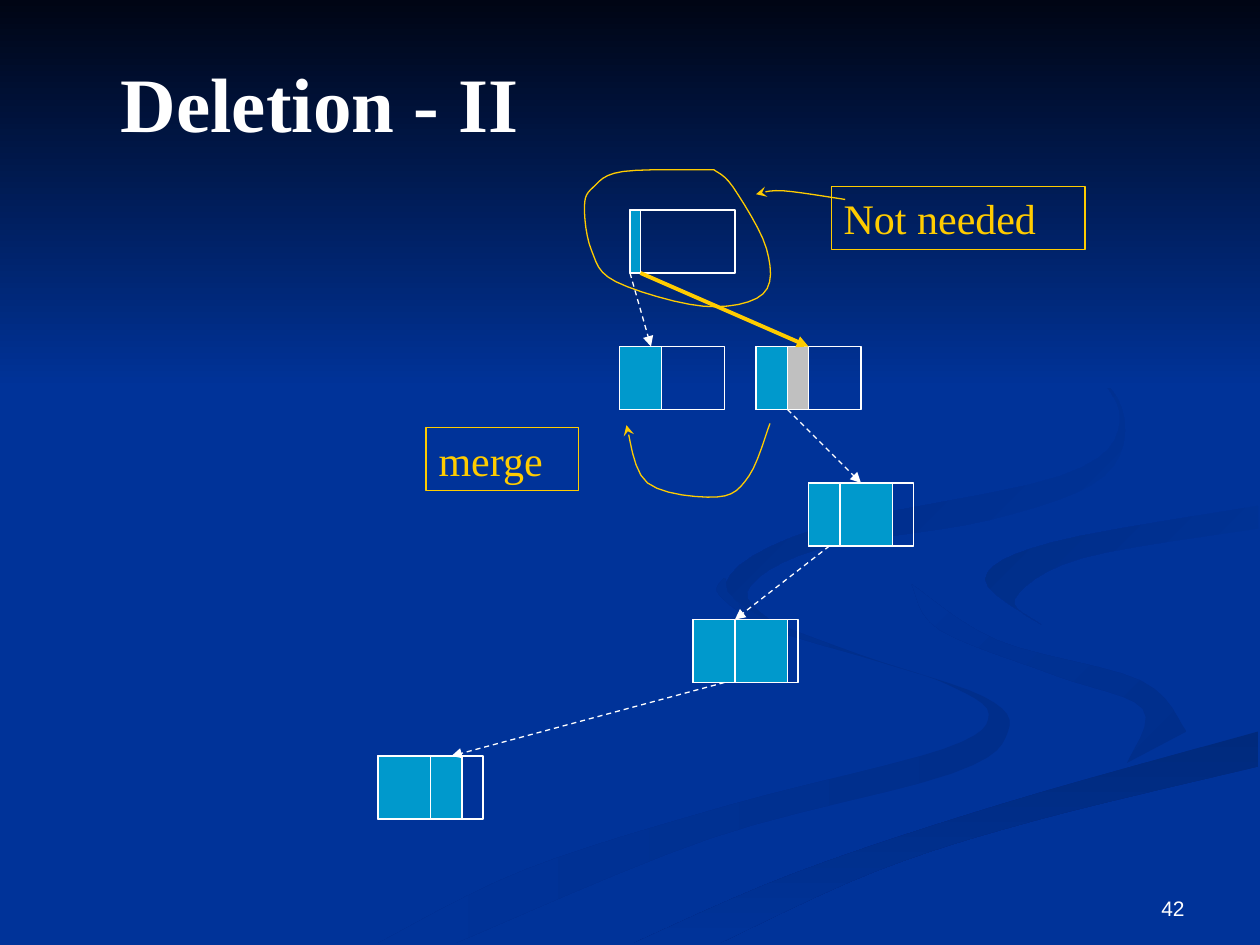
from dataclasses import dataclass
from typing import Optional

from lxml.etree import SubElement
from pptx import Presentation
from pptx.dml.color import RGBColor
from pptx.enum.dml import MSO_LINE_DASH_STYLE as Dash
from pptx.enum.shapes import MSO_CONNECTOR as Connector, MSO_SHAPE as Preset
from pptx.enum.text import MSO_ANCHOR as Anchor, PP_ALIGN as Align
from pptx.oxml.ns import qn
from pptx.util import Pt

COLORS = {
    "blue": "003399", "night": "000514", "white": "FFFFFF", "gold": "FFCC00",
    "teal": "0099CC", "gray": "C0C0C0", "shade1": "002E8B", "shade2": "002A7D",
    "shade3": "002D86", "shade4": "002B82",
}
NODE_WIDTH, NODE_HEIGHT, FIRST_TOP, LEVEL_STEP = 60, 36, 120, 78
CURVE_STEPS = 6
Point = tuple[float, float]


@dataclass
class Ribbon:
    start_color: str
    end_color: str
    angle: int  # counter-clockwise degrees
    edges: list[list[Point]]  # smooth edges that meet in sharp corners


@dataclass
class Node:
    left: float
    level: int
    cells: list[tuple[float, str]]  # width and colour, from the left edge


@dataclass
class Pointer:
    start: Point
    end: Point
    color: str = "white"
    weight: float = 0.75
    dashed: bool = True


@dataclass
class Curve:
    points: list[Point]
    closed: bool = False


@dataclass
class Label:
    text: str
    box: tuple[float, float, float, float]
    size: float = 24
    color: str = "gold"
    font: str = "Times New Roman"
    bold: bool = False
    border: Optional[str] = "gold"
    align: Align = Align.LEFT
    anchor: Anchor = Anchor.TOP


RIBBONS = [
    Ribbon("shade1", "blue", 180, [
        [(414, 330), (411, 340), (440, 359), (502, 378), (541, 391), (565, 408),
         (539, 428), (417, 460), (300, 497), (216, 539)],
        [(260, 539), (406, 479), (544, 442), (576, 418), (562, 398), (491, 374),
         (428, 349), (414, 330)]]),
    Ribbon("shade1", "blue", 135, [
        [(521, 334), (537, 360), (603, 386), (653, 405), (644, 436)],
        [(678, 418), (652, 389), (570, 366), (521, 334)]]),
    Ribbon("shade2", "blue", 270, [
        [(411, 539), (500, 498), (591, 469), (719, 438)],
        [(719, 418), (574, 459), (454, 499), (362, 539)]]),
    Ribbon("blue", "shade3", 135, [
        [(595, 357), (580, 342), (618, 319), (719, 302)],
        [(719, 289), (601, 310), (563, 331), (595, 357)]]),
    Ribbon("blue", "shade4", 135, [
        [(549, 168), (616, 205), (640, 241), (606, 272), (467, 302), (415, 333), (448, 360)],
        [(448, 360), (427, 338), (467, 314), (566, 297), (631, 272), (641, 233),
         (607, 198), (549, 168)]]),
    Ribbon("night", "blue", 270, [[(0, 0), (720, 0)], [(720, 222), (0, 222)]]),
]
NODES = [
    Node(360, 0, [(6, "teal")]),
    Node(354, 1, [(24, "teal")]),
    Node(432, 1, [(18, "teal"), (12, "gray")]),
    Node(462, 2, [(18, "teal"), (30, "teal")]),
    Node(396, 3, [(24, "teal"), (30, "teal")]),
    Node(216, 4, [(30, "teal"), (18, "teal")]),
]
POINTERS = [
    Pointer((366, 156), (462, 198), "gold", 2.25, False),
    Pointer((360, 156), (372, 198)),
    Pointer((450, 234), (492, 276)),
    Pointer((474, 312), (420, 354)),
    Pointer((414, 390), (258, 432)),
]
CURVES = [
    Curve([(440, 242), (428, 272), (410, 284), (370, 276), (358, 243)]),
    Curve([(408, 97), (356, 98), (339, 107), (334, 118), (338, 143), (352, 161),
           (402, 175), (436, 168), (438, 142), (419, 107), (408, 97)], closed=True),
    Curve([(483, 114), (447, 109), (432, 111)]),
]
LABELS = [
    Label("Deletion - II", (62, 28, 275, 60.5), 44, "white", bold=True, border=None),
    Label("merge", (243.5, 244.5, 87, 36)),
    Label("Not needed", (475, 106.5, 145, 36)),
    Label("42", (516, 492, 168, 37.5), 12, "white", "Arial", border=None,
          align=Align.RIGHT, anchor=Anchor.BOTTOM),
]


def rgb(name: str) -> RGBColor:
    return RGBColor.from_string(COLORS[name])


def set_line(line, color: str, weight: float = 0.75, arrow: Optional[str] = None) -> None:
    line.color.rgb = rgb(color)
    line.width = Pt(weight)
    if arrow:
        SubElement(line._get_or_add_ln(), qn("a:tailEnd"), type=arrow)


def smooth(points: list[Point]) -> list[Point]:
    """Return a Catmull-Rom curve through the points, as short straight steps."""
    padded = [points[0], *points, points[-1]]
    result = [points[0]]
    for corners in zip(padded, padded[1:], padded[2:], padded[3:]):
        for step in range(1, CURVE_STEPS + 1):
            t = step / CURVE_STEPS
            result.append(tuple(
                b + t * ((c - a) + t * ((2 * a - 5 * b + 4 * c - d) + t * (3 * b - a - 3 * c + d))) / 2
                for a, b, c, d in zip(*corners)))
    return result


def add_outline(slide, points: list[Point], closed: bool):
    places = [(Pt(x), Pt(y)) for x, y in points]
    builder = slide.shapes.build_freeform(*places[0])
    builder.add_line_segments(places[1:], close=closed)
    shape = builder.convert_to_shape()
    shape.shadow.inherit = False
    return shape


def draw_ribbon(slide, ribbon: Ribbon) -> None:
    points = [point for edge in ribbon.edges for point in smooth(edge)]
    shape = add_outline(slide, points, closed=True)
    shape.line.fill.background()
    shape.fill.gradient()
    shape.fill.gradient_angle = ribbon.angle
    for position, color in enumerate((ribbon.start_color, ribbon.end_color)):
        stop = shape.fill.gradient_stops[position]
        stop.position = position
        stop.color.rgb = rgb(color)


def draw_box(slide, left: float, top: float, width: float, color: Optional[str] = None) -> None:
    shape = slide.shapes.add_shape(Preset.RECTANGLE, Pt(left), Pt(top), Pt(width), Pt(NODE_HEIGHT))
    shape.shadow.inherit = False
    set_line(shape.line, "white")
    if color:
        shape.fill.solid()
        shape.fill.fore_color.rgb = rgb(color)
    else:
        shape.fill.background()


def draw_node(slide, node: Node) -> None:
    top = FIRST_TOP + node.level * LEVEL_STEP
    draw_box(slide, node.left, top, NODE_WIDTH)
    left = node.left
    for width, color in node.cells:
        draw_box(slide, left, top, width, color)
        left += width


def draw_pointer(slide, pointer: Pointer) -> None:
    ends = [Pt(value) for value in pointer.start + pointer.end]
    connector = slide.shapes.add_connector(Connector.STRAIGHT, *ends)
    if pointer.dashed:
        connector.line.dash_style = Dash.DASH
    set_line(connector.line, pointer.color, pointer.weight, "triangle")
    SubElement(connector._element.spPr, qn("a:effectLst"))


def draw_curve(slide, curve: Curve) -> None:
    shape = add_outline(slide, smooth(curve.points), curve.closed)
    shape.fill.background()
    set_line(shape.line, "gold", arrow=None if curve.closed else "stealth")


def draw_label(slide, label: Label) -> None:
    shape = slide.shapes.add_textbox(*(Pt(value) for value in label.box))
    if label.border:
        set_line(shape.line, label.border)
    frame = shape.text_frame
    frame.word_wrap = True
    frame.vertical_anchor = label.anchor
    paragraph = frame.paragraphs[0]
    paragraph.alignment = label.align
    run = paragraph.add_run()
    run.text = label.text
    run.font.name, run.font.size, run.font.bold = label.font, Pt(label.size), label.bold
    run.font.color.rgb = rgb(label.color)


def main() -> None:
    presentation = Presentation()
    presentation.slide_width, presentation.slide_height = Pt(720), Pt(540)
    slide = presentation.slides.add_slide(presentation.slide_layouts[6])
    slide.background.fill.solid()
    slide.background.fill.fore_color.rgb = rgb("blue")
    for draw, items in ((draw_ribbon, RIBBONS), (draw_node, NODES), (draw_pointer, POINTERS),
                        (draw_curve, CURVES), (draw_label, LABELS)):
        for item in items:
            draw(slide, item)
    presentation.save("out.pptx")


if __name__ == "__main__":
    main()
